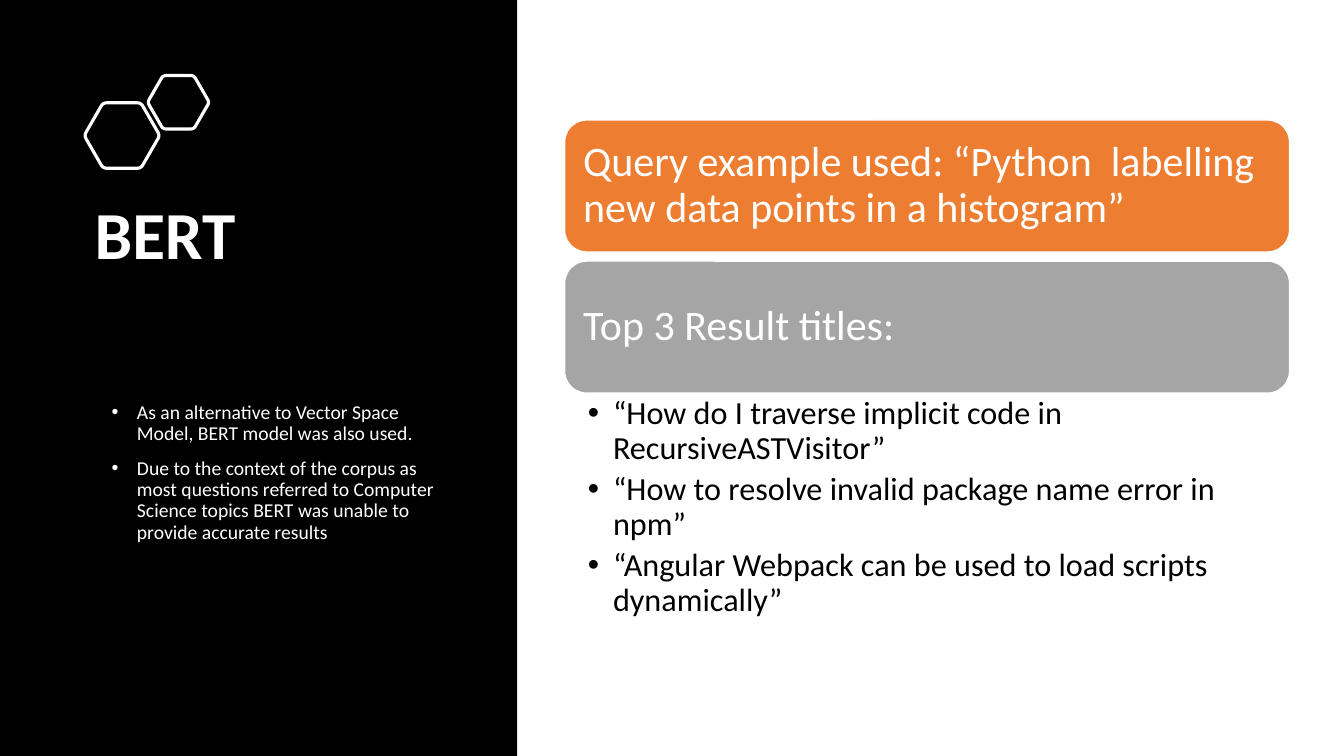
import math

import pptx
import pptx.dml.color
import pptx.enum.shapes
import pptx.enum.text
import pptx.oxml
import pptx.oxml.ns
import pptx.util
from pptx.util import Inches

BLACK = pptx.dml.color.RGBColor(0x00, 0x00, 0x00)
WHITE = pptx.dml.color.RGBColor(0xFF, 0xFF, 0xFF)
ORANGE = pptx.dml.color.RGBColor(0xED, 0x7D, 0x31)
GRAY = pptx.dml.color.RGBColor(0xA5, 0xA5, 0xA5)
SHAPES = pptx.enum.shapes.MSO_SHAPE
ANCHOR = pptx.enum.text.MSO_ANCHOR


def write_text(box, lines, size, color, insets, anchor=ANCHOR.TOP, bold=False):
    """Fill a box with left-aligned paragraphs; insets are horizontal and vertical inches."""
    frame = box.text_frame
    frame.word_wrap = True
    frame.vertical_anchor = anchor
    frame.margin_left = frame.margin_right = Inches(insets[0])
    frame.margin_top = frame.margin_bottom = Inches(insets[1])
    frame.text = "\n".join(lines)
    for para in frame.paragraphs:
        para.alignment = pptx.enum.text.PP_ALIGN.LEFT
        para.line_spacing = 0.9
        for span in para.runs:
            span.font.name = "Calibri"
            span.font.size = pptx.util.Pt(size)
            span.font.bold = bold
            span.font.color.rgb = color


def add_bullets(box, indent):
    """Give each paragraph a round bullet hanging 0.25 inches left of its text."""
    for para in box.text_frame.paragraphs:
        props = para._p.get_or_add_pPr()
        props.set("marL", str(Inches(indent)))
        props.set("indent", str(Inches(-0.25)))
        namespace = pptx.oxml.ns.nsdecls("a")
        props.append(pptx.oxml.parse_xml(f'<a:buFont {namespace} typeface="Arial"/>'))
        props.append(pptx.oxml.parse_xml(f'<a:buChar {namespace} char="•"/>'))


deck = pptx.Presentation()
deck.slide_width, deck.slide_height = Inches(13.33), Inches(7.5)
page = deck.slides.add_slide(deck.slide_layouts[6])

# Black side panel with title and notes on the model
panel = page.shapes.add_shape(SHAPES.RECTANGLE, 0, 0, Inches(5.13), deck.slide_height)
panel.shadow.inherit = False
panel.fill.solid()
panel.fill.fore_color.rgb = BLACK
panel.line.fill.background()

title = page.shapes.add_textbox(Inches(0.84), Inches(1.95), Inches(3.92), Inches(3.5))
write_text(title, ["BERT"], 48, WHITE, (0.1, 0.05), bold=True)

# Hexagons with rounded corners: each corner is a short quadratic curve
CORNER_CUT = 0.1
CURVE_STEPS = 6
for center_x, center_y, radius in [(1.21, 1.345, 0.375), (1.77, 1.015, 0.306)]:
    corners = [
        (center_x + radius * math.cos(math.radians(angle)),
         center_y + radius * math.sin(math.radians(angle)))
        for angle in range(0, 360, 60)
    ]
    outline = []
    for index, corner in enumerate(corners):
        before, after = corners[index - 1], corners[(index + 1) % 6]
        for step in range(CURVE_STEPS + 1):
            t = step / CURVE_STEPS
            outline.append(tuple(
                Inches(c + CORNER_CUT * ((1 - t) ** 2 * (b - c) + t ** 2 * (a - c)))
                for b, c, a in zip(before, corner, after)
            ))
    builder = page.shapes.build_freeform(*outline[0])
    builder.add_line_segments(outline[1:], close=True)
    hexagon = builder.convert_to_shape()
    hexagon.shadow.inherit = False
    hexagon.fill.background()
    hexagon.line.color.rgb = WHITE
    hexagon.line.width = pptx.util.Pt(2.25)

notes = page.shapes.add_textbox(Inches(0.88), Inches(3.94), Inches(3.62), Inches(1.81))
write_text(notes, [
    "As an alternative to Vector Space Model, BERT model was also used.",
    "Due to the context of the corpus as most questions referred to Computer "
    "Science topics BERT was unable to provide accurate results",
], 14, WHITE, (0.1, 0.05))
for para in notes.text_frame.paragraphs:
    para.space_before = pptx.util.Pt(10)
add_bullets(notes, 0.38)

# Query and result cards
cards = [
    ("Query example used: “Python  labelling new data points in a histogram”", ORANGE),
    ("Top 3 Result titles:", GRAY),
]
for index, (heading, color) in enumerate(cards):
    card = page.shapes.add_shape(
        SHAPES.ROUNDED_RECTANGLE,
        Inches(5.6), Inches(1.19 + 1.4 * index), Inches(7.19), Inches(1.31))
    card.shadow.inherit = False
    card.fill.solid()
    card.fill.fore_color.rgb = color
    card.line.color.rgb = WHITE
    card.line.width = pptx.util.Pt(1)
    write_text(card, [heading], 30, WHITE, (0.12, 0.12), ANCHOR.MIDDLE)

results = page.shapes.add_textbox(Inches(5.6), Inches(3.9), Inches(7.19), Inches(2.38))
write_text(results, [
    "“How do I traverse implicit code in RecursiveASTVisitor”",
    "“How to resolve invalid package name error in npm”",
    "“Angular Webpack can be used to load scripts dynamically”",
], 23, BLACK, (0.23, 0.04))
for para in results.text_frame.paragraphs:
    para.space_after = pptx.util.Pt(4.6)
add_bullets(results, 0.25)

deck.save("out.pptx")
